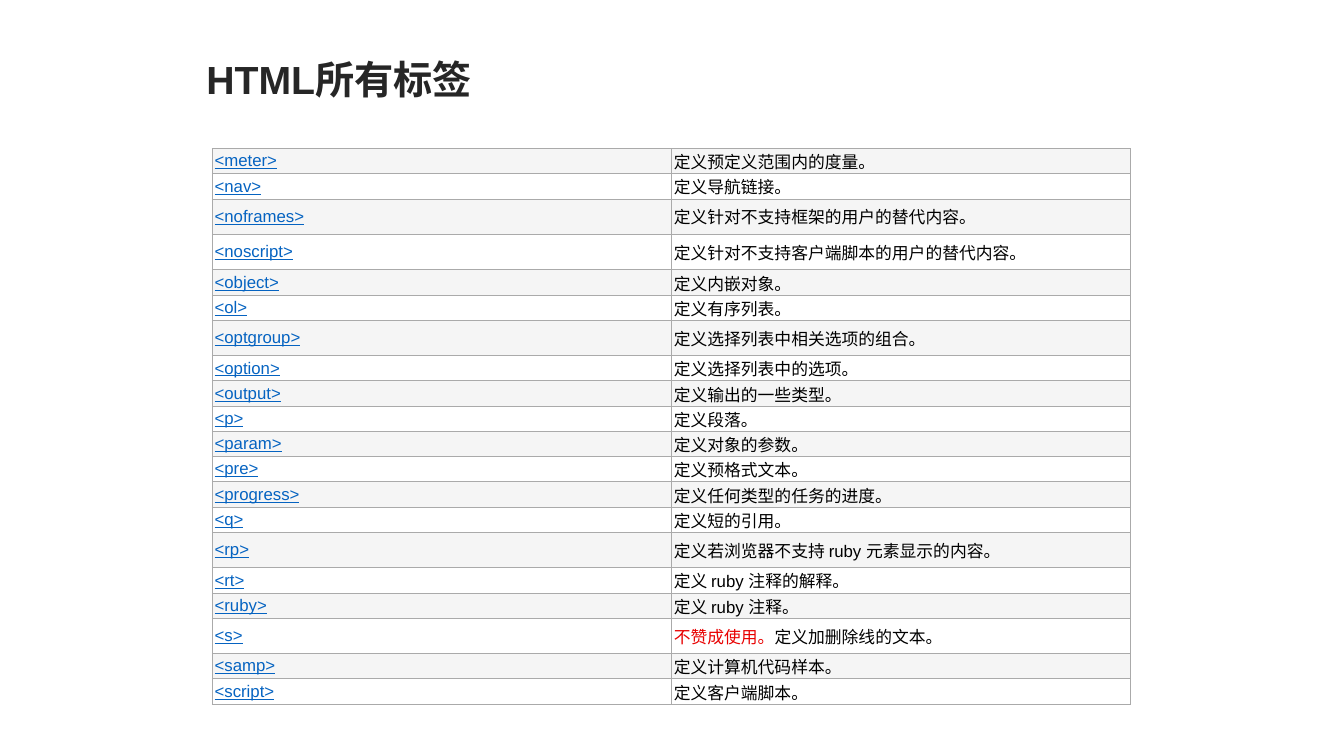
from typing import NamedTuple

from lxml.etree import SubElement
from pptx import Presentation
from pptx.dml.color import RGBColor
from pptx.enum.text import MSO_ANCHOR, MSO_AUTO_SIZE
from pptx.oxml.ns import qn
from pptx.util import Pt

INK = RGBColor(0x26, 0x26, 0x26)
BLACK = RGBColor(0x00, 0x00, 0x00)
LINK_BLUE = RGBColor(0x05, 0x63, 0xC1)
WARNING_RED = RGBColor(0xE8, 0x00, 0x00)
BAND_GREY = RGBColor(0xF5, 0xF5, 0xF5)
WHITE = RGBColor(0xFF, 0xFF, 0xFF)
BORDER_GREY = RGBColor(0xAA, 0xAA, 0xAA)

ROW_HEIGHT, TALL_ROW_HEIGHT = Pt(18), Pt(25.3)
COLUMN_WIDTH = Pt(328)
BORDER_WIDTH = Pt(0.6)


class Tag(NamedTuple):
    name: str
    meaning: str
    tall: bool = False
    warning: str = ""


TAGS = [
    Tag("<meter>", "定义预定义范围内的度量。"),
    Tag("<nav>", "定义导航链接。"),
    Tag("<noframes>", "定义针对不支持框架的用户的替代内容。", tall=True),
    Tag("<noscript>", "定义针对不支持客户端脚本的用户的替代内容。", tall=True),
    Tag("<object>", "定义内嵌对象。"),
    Tag("<ol>", "定义有序列表。"),
    Tag("<optgroup>", "定义选择列表中相关选项的组合。", tall=True),
    Tag("<option>", "定义选择列表中的选项。"),
    Tag("<output>", "定义输出的一些类型。"),
    Tag("<p>", "定义段落。"),
    Tag("<param>", "定义对象的参数。"),
    Tag("<pre>", "定义预格式文本。"),
    Tag("<progress>", "定义任何类型的任务的进度。"),
    Tag("<q>", "定义短的引用。"),
    Tag("<rp>", "定义若浏览器不支持 ruby 元素显示的内容。", tall=True),
    Tag("<rt>", "定义 ruby 注释的解释。"),
    Tag("<ruby>", "定义 ruby 注释。"),
    Tag("<s>", "定义加删除线的文本。", tall=True, warning="不赞成使用。"),
    Tag("<samp>", "定义计算机代码样本。"),
    Tag("<script>", "定义客户端脚本。"),
]


def add_text(p, text: str, *, size: float = 12, color: RGBColor = BLACK,
             bold: bool = False, underline: bool = False) -> None:
    r = p.add_run()
    r.text = text
    r.font.name = "Arial"
    r.font.size = Pt(size)
    r.font.color.rgb = color
    r.font.bold = bold
    r.font.underline = underline


def add_borders(cell) -> None:
    tc_pr = cell._tc.get_or_add_tcPr()
    for i, side in enumerate(("a:lnL", "a:lnR", "a:lnT", "a:lnB")):
        ln = SubElement(tc_pr, qn(side), w=str(int(BORDER_WIDTH)))
        fill = SubElement(ln, qn("a:solidFill"))
        SubElement(fill, qn("a:srgbClr"), val=str(BORDER_GREY))
        tc_pr.insert(i, ln)  # borders must precede the cell fill


def format_cell(cell, color: RGBColor) -> None:
    cell.vertical_anchor = MSO_ANCHOR.MIDDLE
    cell.margin_left = Pt(1.8)
    cell.margin_top = cell.margin_bottom = Pt(2)
    cell.margin_right = Pt(4)
    cell.fill.solid()
    cell.fill.fore_color.rgb = color
    add_borders(cell)


def add_title(s) -> None:
    tf = s.shapes.add_textbox(Pt(140.4), Pt(36), Pt(206), Pt(41)).text_frame
    tf.word_wrap = True
    tf.auto_size = MSO_AUTO_SIZE.NONE
    add_text(tf.paragraphs[0], "HTML所有标签", size=28, color=INK, bold=True)


def add_tag_table(s) -> None:
    heights = [TALL_ROW_HEIGHT if tag.tall else ROW_HEIGHT for tag in TAGS]
    table = s.shapes.add_table(len(TAGS), 2, Pt(151.5), Pt(106),
                               2 * COLUMN_WIDTH, sum(heights)).table
    table.first_row = table.horz_banding = False
    for i, (tag, height) in enumerate(zip(TAGS, heights)):
        table.rows[i].height = height
        name, meaning = table.cell(i, 0), table.cell(i, 1)
        for cell in (name, meaning):
            format_cell(cell, WHITE if i % 2 else BAND_GREY)
        if not tag.tall:  # Chinese lines nearly fill a low row
            meaning.margin_top, meaning.margin_bottom = Pt(0.6), Pt(0)
        add_text(name.text_frame.paragraphs[0], tag.name,
                 color=LINK_BLUE, underline=True)
        p = meaning.text_frame.paragraphs[0]
        if tag.warning:
            add_text(p, tag.warning, color=WARNING_RED)
        add_text(p, tag.meaning)


def main() -> None:
    prs = Presentation()
    prs.slide_width, prs.slide_height = Pt(960), Pt(540)
    s = prs.slides.add_slide(prs.slide_layouts[6])
    add_title(s)
    add_tag_table(s)
    prs.save("out.pptx")


if __name__ == "__main__":
    main()
